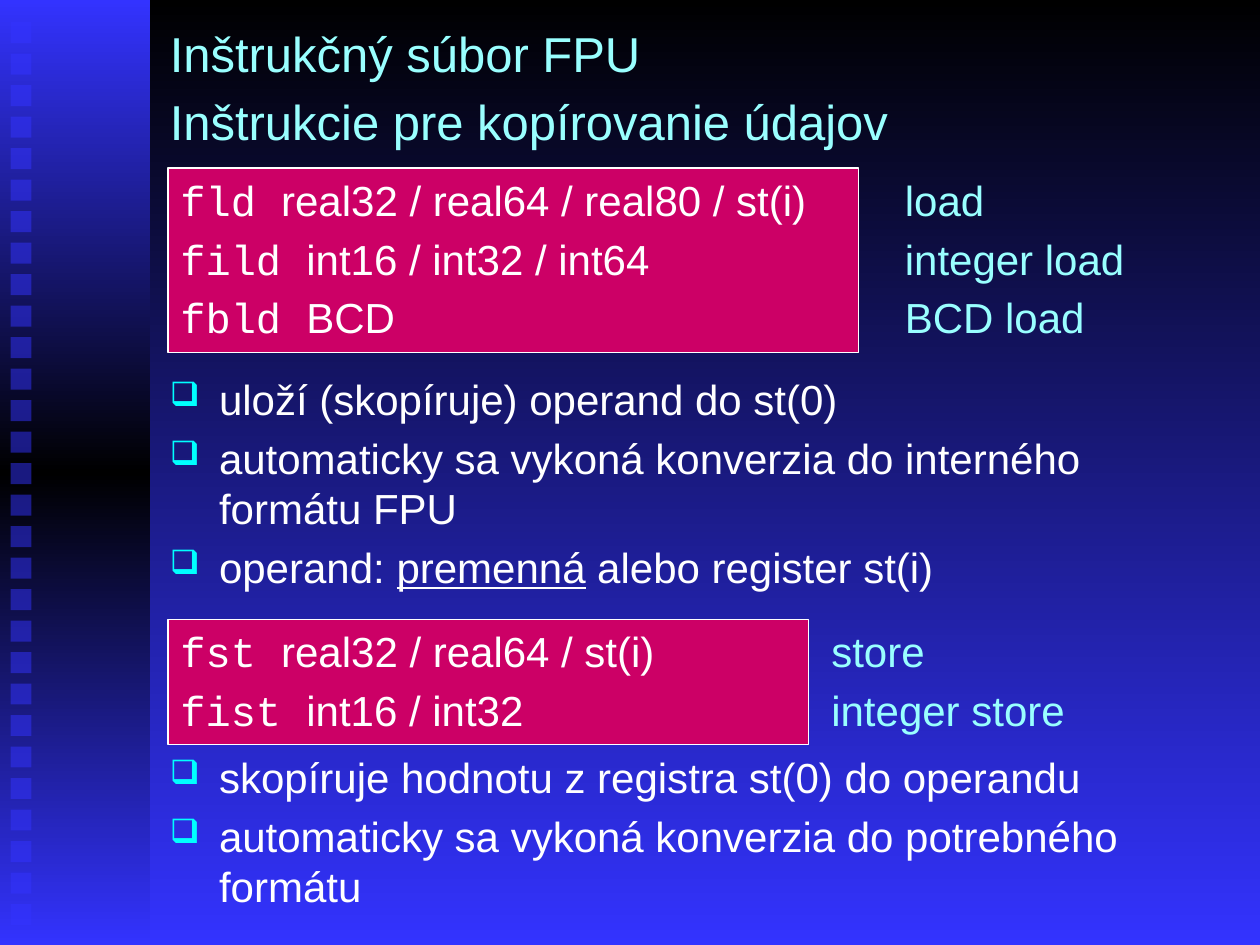
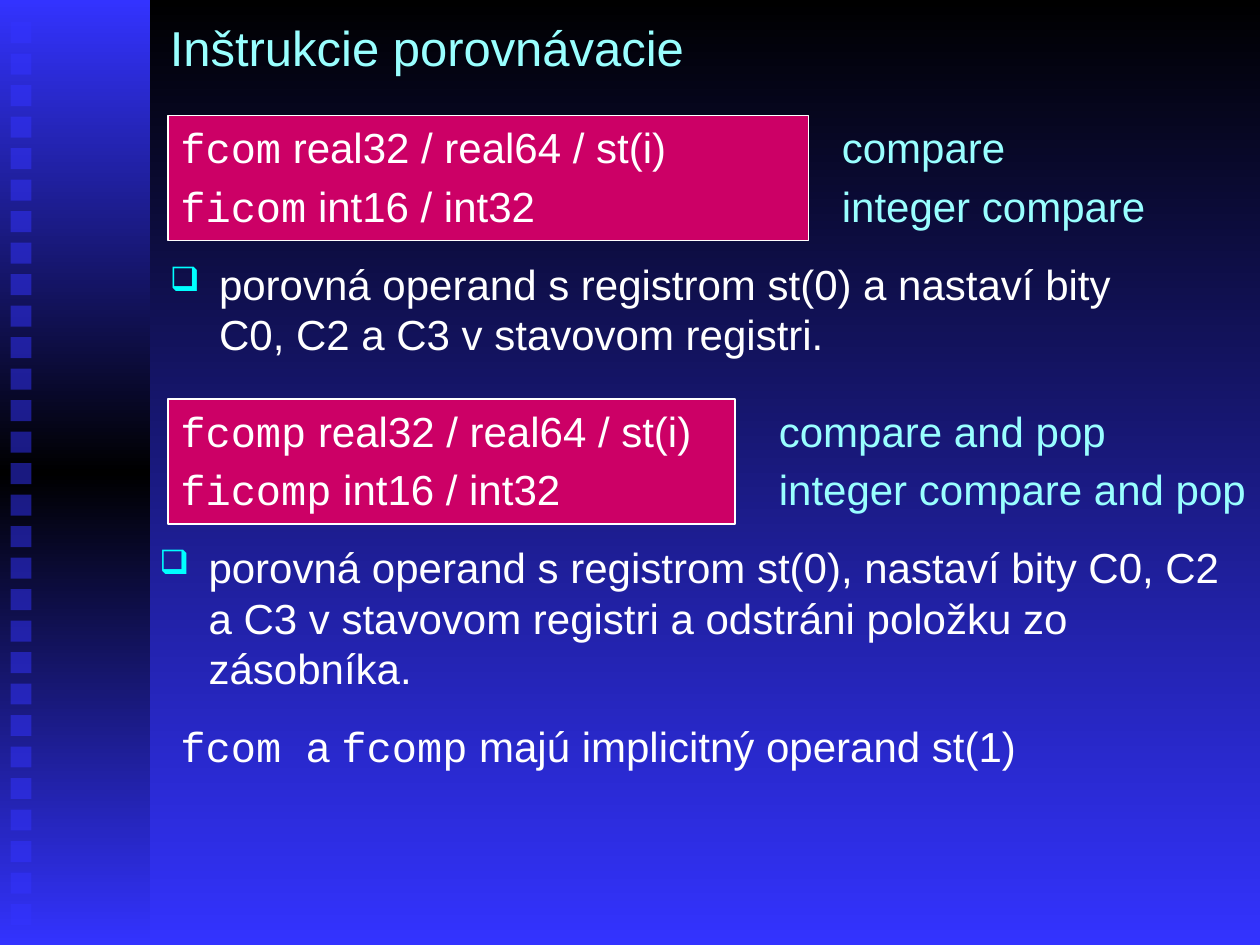
"""Build two slides on FPU copy and compare instructions."""
from dataclasses import dataclass

from lxml import etree
from pptx import Presentation
from pptx import util as u
from pptx.dml import color
from pptx.enum import shapes, text
from pptx.oxml import ns

COLUMNS, ROWS = 120, 90
WIDTH, HEIGHT = u.Inches(10), u.Inches(7.5)


@dataclass(frozen=True)
class Theme:
    """Colours, fonts and type sizes shared by the slides."""
    dark: str = "000000"
    blue: str = "3333FF"
    panel: str = "CC0066"
    white: str = "FFFFFF"
    accent: str = "99FFFF"
    bullet: str = "00FFFF"
    sans: str = "Arial"
    mono: str = "Courier New"
    title_size: float = 28
    body_size: float = 24
    gap: float = 4.8
    outline: float = 0.75


THEME = Theme()
BULLET_INDENT = u.Inches(0.39)


def rgb(value):
    """Turn a hex string into a colour."""
    return color.RGBColor.from_string(value)


def place(box):
    """Convert a box in grid columns and rows to slide lengths."""
    left, top, width, height = box
    return (int(WIDTH * left / COLUMNS), int(HEIGHT * top / ROWS),
            int(WIDTH * width / COLUMNS), int(HEIGHT * height / ROWS))


def set_values(target, values):
    """Set each attribute named in a dict."""
    for name, value in values.items():
        setattr(target, name, value)


def add_child(parent, tag, **attributes):
    """Append a drawing element with the given attributes."""
    return etree.SubElement(parent, ns.qn(tag), attributes)


def paint_gradient(owner, fill, colours):
    """Fill from top to bottom with evenly spaced colours."""
    fill.gradient()
    fill.gradient_angle = 270
    stops = next(owner.element.iter(ns.qn("a:gsLst")))
    for stop in list(stops):
        stops.remove(stop)
    for index, value in enumerate(colours):
        position = 100000 * index // (len(colours) - 1)
        stop = add_child(stops, "a:gs", pos=str(position))
        add_child(stop, "a:srgbClr", val=value)


def add_rectangle(slide, box):
    """Add a rectangle without shadow or outline."""
    shape = slide.shapes.add_shape(shapes.MSO_SHAPE.RECTANGLE, *place(box))
    shape.shadow.inherit = False
    shape.line.fill.background()
    return shape


def add_side_band(slide, box):
    """Draw the gradient band and its column of translucent squares."""
    left, top, _, height = box
    band = add_rectangle(slide, box)
    paint_gradient(band, band.fill, [THEME.blue, THEME.dark, THEME.blue])
    side, pitch, margin = 2, 3, 2.1
    for index in range(int((height - margin) // pitch)):
        square = add_rectangle(
            slide, (left + 1, top + margin + index * pitch, side, side))
        square.fill.solid()
        square.fill.fore_color.rgb = rgb(THEME.blue)
        fill_colour = next(square.element.iter(ns.qn("a:srgbClr")))
        add_child(fill_colour, "a:alpha", val="50000")


def add_bullet(paragraph):
    """Give a paragraph a hanging square bullet."""
    properties = paragraph._p.get_or_add_pPr()
    properties.set("marL", str(BULLET_INDENT))
    properties.set("indent", str(-BULLET_INDENT))
    bullet_colour = add_child(properties, "a:buClr")
    add_child(bullet_colour, "a:srgbClr", val=THEME.bullet)
    add_child(properties, "a:buSzPct", val="80000")
    add_child(properties, "a:buChar", char="❑")


def write(shape, lines, colour=THEME.white, size=THEME.body_size,
          bulleted=False, **frame_values):
    """Write lines, each a string or a list of (text, font values) runs."""
    frame = shape.text_frame
    set_values(frame, {"word_wrap": True,
                       "vertical_anchor": text.MSO_ANCHOR.TOP, **frame_values})
    for index, line in enumerate(lines):
        paragraph = frame.add_paragraph() if index else frame.paragraphs[0]
        paragraph.alignment = text.PP_ALIGN.LEFT
        if index:
            paragraph.space_before = u.Pt(THEME.gap)
        if bulleted:
            add_bullet(paragraph)
        for content, values in [(line, {})] if isinstance(line, str) else line:
            run = paragraph.add_run()
            run.text = content
            set_values(run.font, {"name": THEME.sans, "size": u.Pt(size), **values})
            run.font.color.rgb = rgb(colour)


def add_text(slide, box, lines, **values):
    """Add a text box."""
    write(slide.shapes.add_textbox(*place(box)), lines, **values)


def add_title(slide, box, title):
    """Add a title line centred vertically in its box."""
    add_text(slide, box, [title], colour=THEME.accent, size=THEME.title_size,
             vertical_anchor=text.MSO_ANCHOR.MIDDLE)


def add_instructions(slide, box, instructions, label_column, labels):
    """Draw the instruction panel with its meanings to the right."""
    _, top, _, height = box
    panel = add_rectangle(slide, box)
    panel.fill.solid()
    panel.fill.fore_color.rgb = rgb(THEME.panel)
    panel.line.color.rgb = rgb(THEME.white)
    panel.line.width = u.Pt(THEME.outline)
    write(panel, [[code(name), (operands, {})] for name, operands in instructions])
    add_text(slide, (label_column, top, COLUMNS - label_column, height), labels,
             colour=THEME.accent, margin_right=0)


def code(content):
    """Return a monospaced run."""
    return content, {"name": THEME.mono}


def add_base(presentation):
    """Add a blank slide with the background and side band."""
    slide = presentation.slides.add_slide(presentation.slide_layouts[6])
    paint_gradient(slide, slide.background.fill, [THEME.dark, THEME.blue])
    add_side_band(slide, (0, 0, 14.3, ROWS))
    return slide


def build_copy_slide(presentation):
    """Build the slide on load and store instructions."""
    slide = add_base(presentation)
    add_title(slide, (15, 0, 102, 10), "Inštrukčný súbor FPU")
    add_title(slide, (15, 7, 102, 9), "Inštrukcie pre kopírovanie údajov")
    add_instructions(
        slide, (16, 16, 65.8, 17.6),
        [("fld ", "real32 / real64 / real80 / st(i)"),
         ("fild ", "int16 / int32 / int64"),
         ("fbld ", "BCD")],
        85, ["load", "integer load", "BCD load"])
    add_text(slide, (15, 35, 101, 22.5), [
        "uloží (skopíruje) operand do st(0)",
        "automaticky sa vykoná konverzia do interného formátu FPU",
        [("operand: ", {}), ("premenná", {"underline": True}),
         (" alebo register st(i)", {})],
    ], bulleted=True)
    add_instructions(
        slide, (16, 59, 61, 11.9),
        [("fst ", "real32 / real64 / st(i)"), ("fist ", "int16 / int32")],
        78, ["store", "integer store"])
    add_text(slide, (15, 71, 105, 16.7), [
        "skopíruje hodnotu z registra st(0) do operandu",
        "automaticky sa vykoná konverzia do potrebného formátu",
    ], bulleted=True)


def build_compare_slide(presentation):
    """Build the slide on compare instructions."""
    slide = add_base(presentation)
    add_title(slide, (15, 0, 102, 9), "Inštrukcie porovnávacie")
    add_instructions(
        slide, (16, 11, 61, 11.9),
        [("fcom", " real32 / real64 / st(i)"), ("ficom", " int16 / int32")],
        79, ["compare", "integer compare"])
    add_text(slide, (15, 24, 98, 11), [
        "porovná operand s registrom st(0) a nastaví bity C0, C2 a C3 "
        "v stavovom registri."], bulleted=True)
    add_instructions(
        slide, (16, 38, 54, 11.9),
        [("fcomp", " real32 / real64 / st(i)"), ("ficomp", " int16 / int32")],
        73, ["compare and pop", "integer compare and pop"])
    add_text(slide, (14, 51, 106, 15.7), [
        "porovná operand s registrom st(0), nastaví bity C0, C2 a C3 "
        "v stavovom registri a odstráni položku zo zásobníka."], bulleted=True)
    add_text(slide, (16, 68, 104, 6), [
        [code("fcom "), ("a ", {}), code("fcomp"),
         (" majú implicitný operand st(1)", {})]])


def main():
    """Build and save the presentation."""
    presentation = Presentation()
    set_values(presentation, {"slide_width": WIDTH, "slide_height": HEIGHT})
    build_copy_slide(presentation)
    build_compare_slide(presentation)
    presentation.save("out.pptx")


if __name__ == "__main__":
    main()
